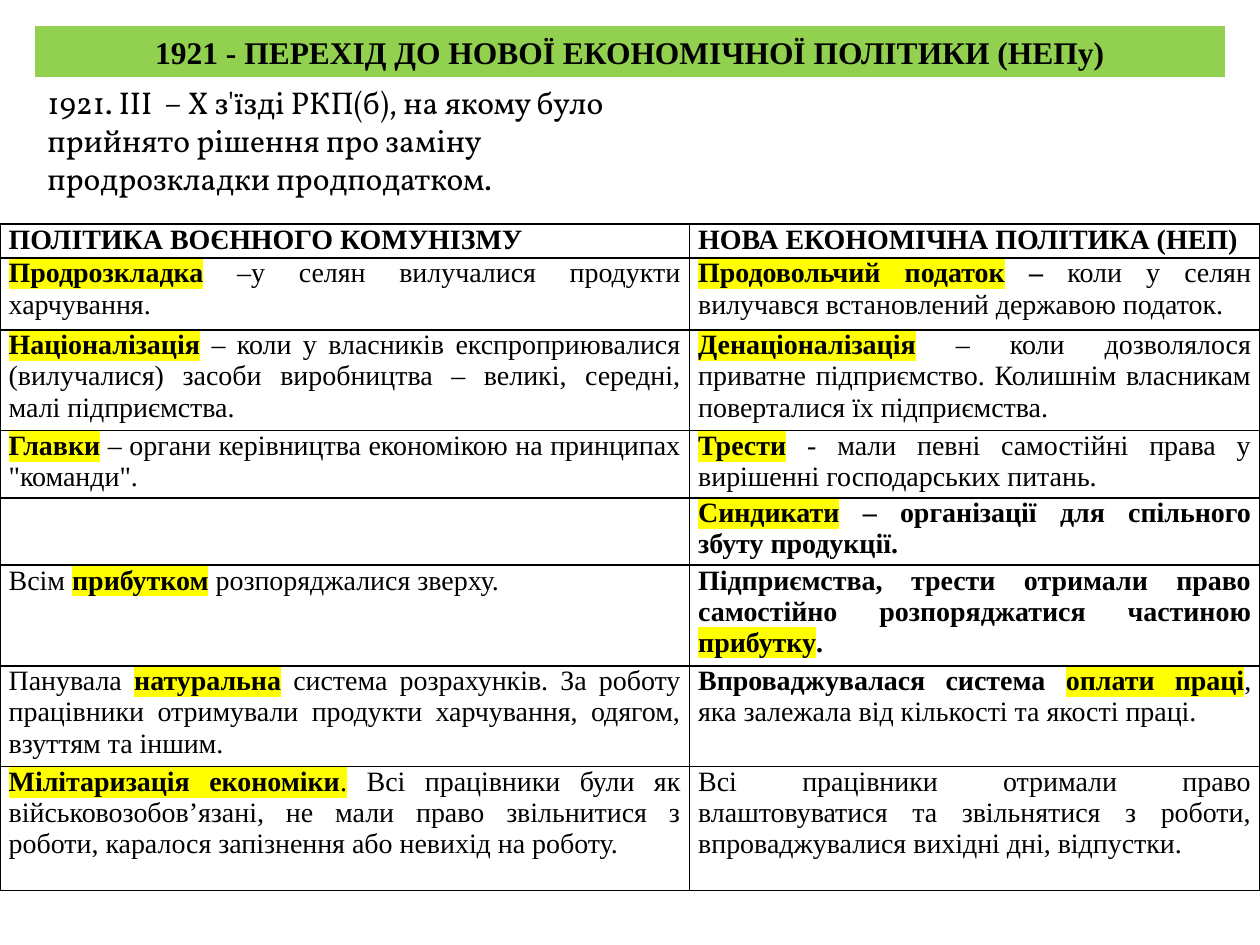
import pptx
import pptx.dml.color
import pptx.enum.text
import pptx.oxml
import pptx.oxml.ns
import pptx.util

Pt = pptx.util.Pt
RGBColor = pptx.dml.color.RGBColor
Align = pptx.enum.text.PP_ALIGN
Anchor = pptx.enum.text.MSO_ANCHOR

BLACK = RGBColor(0x00, 0x00, 0x00)
GREEN = RGBColor(0x92, 0xD0, 0x50)
YELLOW = RGBColor(0xFF, 0xFF, 0x00)

# Run styles: (bold, highlighted)
PLAIN = (False, False)
BOLD = (True, False)
TERM = (True, True)
MARKED = (False, True)

TITLE = "1921 - ПЕРЕХІД ДО НОВОЇ ЕКОНОМІЧНОЇ ПОЛІТИКИ (НЕПу)"
INTRO = ("1921. ІІІ  – X з'їзді РКП(б), на якому було прийнято рішення "
         "про заміну продрозкладки продподатком.")

COLUMN_WIDTHS = [394, 326]
ROW_HEIGHTS = [19.4, 41.1, 57.6, 38.3, 38.3, 57.6, 57.6, 70.8]
COMPARISON = [
    ([("ПОЛІТИКА ВОЄННОГО КОМУНІЗМУ", BOLD)],
     [("НОВА ЕКОНОМІЧНА ПОЛІТИКА (НЕП)", BOLD)]),
    ([("Продрозкладка", TERM),
      (" –у селян вилучалися продукти харчування.", PLAIN)],
     [("Продовольчий податок", TERM), (" – ", BOLD),
      ("коли у селян вилучався встановлений державою податок.", PLAIN)]),
    ([("Націоналізація", TERM),
      (" – коли у власників експроприювалися (вилучалися) засоби "
       "виробництва – великі, середні, малі підприємства.", PLAIN)],
     [("Денаціоналізація", TERM),
      (" – коли дозволялося приватне підприємство. Колишнім власникам "
       "поверталися їх підприємства.", PLAIN)]),
    ([("Главки", TERM),
      (" – органи керівництва економікою на принципах \"команди\".", PLAIN)],
     [("Трести", TERM),
      (" - мали певні самостійні права у вирішенні господарських питань.",
       PLAIN)]),
    ([],
     [("Синдикати", TERM),
      (" – організації для спільного збуту продукції.", BOLD)]),
    ([("Всім ", PLAIN), ("прибутком", TERM),
      (" розпоряджалися зверху.", PLAIN)],
     [("Підприємства, трести отримали право самостійно розпоряджатися "
       "частиною ", BOLD), ("прибутку", TERM), (".", BOLD)]),
    ([("Панувала ", PLAIN), ("натуральна", TERM),
      (" система розрахунків. За роботу працівники отримували продукти "
       "харчування, одягом, взуттям та іншим.", PLAIN)],
     [("Впроваджувалася система ", BOLD), ("оплати праці", TERM),
      (", яка залежала від кількості та якості праці.", PLAIN)]),
    ([("Мілітаризація економіки", TERM), (".", MARKED),
      (" Всі працівники були як військовозобов’язані, не мали право "
       "звільнитися з роботи, каралося запізнення або невихід на роботу.",
       PLAIN)],
     [("Всі працівники отримали право влаштовуватися та звільнятися з "
       "роботи, впроваджувалися вихідні дні, відпустки.", PLAIN)]),
]


class SlideBuilder:
    font = "Times New Roman"
    intro_font = "Vollkorn"
    heading_size = 18
    table_size = 16
    border_width = 1

    def __init__(self, slide):
        self.slide = slide

    def add_run(self, paragraph, text, size, style=PLAIN, font=None):
        bold, highlighted = style
        run = paragraph.add_run()
        run.text = text
        run.font.size = Pt(size)
        run.font.bold = bold
        run.font.color.rgb = BLACK
        run.font.name = font or self.font
        if highlighted:
            properties = run.font._element
            fill = properties.find(pptx.oxml.ns.qn("a:solidFill"))
            fill.addnext(pptx.oxml.parse_xml(
                f'<a:highlight {pptx.oxml.ns.nsdecls("a")}>'
                f'<a:srgbClr val="{YELLOW}"/></a:highlight>'))

    def add_title(self, text, left, top, width, height):
        title = self.slide.shapes.title
        title.left, title.top = Pt(left), Pt(top)
        title.width, title.height = Pt(width), Pt(height)
        title.fill.solid()
        title.fill.fore_color.rgb = GREEN
        frame = title.text_frame
        frame.auto_size = pptx.enum.text.MSO_AUTO_SIZE.NONE
        frame.vertical_anchor = Anchor.MIDDLE
        paragraph = frame.paragraphs[0]
        paragraph.alignment = Align.CENTER
        self.add_run(paragraph, text, self.heading_size, BOLD)

    def add_intro(self, text, left, top, width, height):
        box = self.slide.shapes.add_textbox(
            Pt(left), Pt(top), Pt(width), Pt(height))
        box.text_frame.word_wrap = True
        self.add_run(box.text_frame.paragraphs[0], text, self.heading_size,
                     font=self.intro_font)

    def add_table(self, rows, left, top, widths, heights):
        table = self.slide.shapes.add_table(
            len(rows), len(widths), Pt(left), Pt(top),
            Pt(sum(widths)), Pt(sum(heights))).table
        table.first_row = False
        table.horz_banding = False
        for column, width in zip(table.columns, widths):
            column.width = Pt(width)
        for row, height, contents in zip(table.rows, heights, rows):
            row.height = Pt(height)
            for cell, runs in zip(row.cells, contents):
                self.fill_cell(cell, runs)

    def fill_cell(self, cell, runs):
        cell.margin_left = cell.margin_right = Pt(5)
        cell.margin_top = cell.margin_bottom = 0
        cell.fill.background()
        self.add_borders(cell)
        paragraph = cell.text_frame.paragraphs[0]
        paragraph.alignment = Align.JUSTIFY
        paragraph.font.size = Pt(self.table_size)
        for text, style in runs:
            self.add_run(paragraph, text, self.table_size, style)

    def add_borders(self, cell):
        properties = cell._tc.get_or_add_tcPr()
        for position, side in enumerate("LRTB"):
            properties.insert(position, pptx.oxml.parse_xml(
                f'<a:ln{side} {pptx.oxml.ns.nsdecls("a")} '
                f'w="{Pt(self.border_width)}"><a:solidFill>'
                f'<a:srgbClr val="{BLACK}"/></a:solidFill></a:ln{side}>'))


def main():
    presentation = pptx.Presentation()
    presentation.slide_width, presentation.slide_height = Pt(720), Pt(540)
    title_only = presentation.slide_layouts[5]
    builder = SlideBuilder(presentation.slides.add_slide(title_only))
    builder.add_title(TITLE, 20, 15, 680, 29)
    builder.add_intro(INTRO, 20, 44, 360, 73)
    builder.add_table(COMPARISON, 0, 128, COLUMN_WIDTHS, ROW_HEIGHTS)
    presentation.save("out.pptx")


if __name__ == "__main__":
    main()
